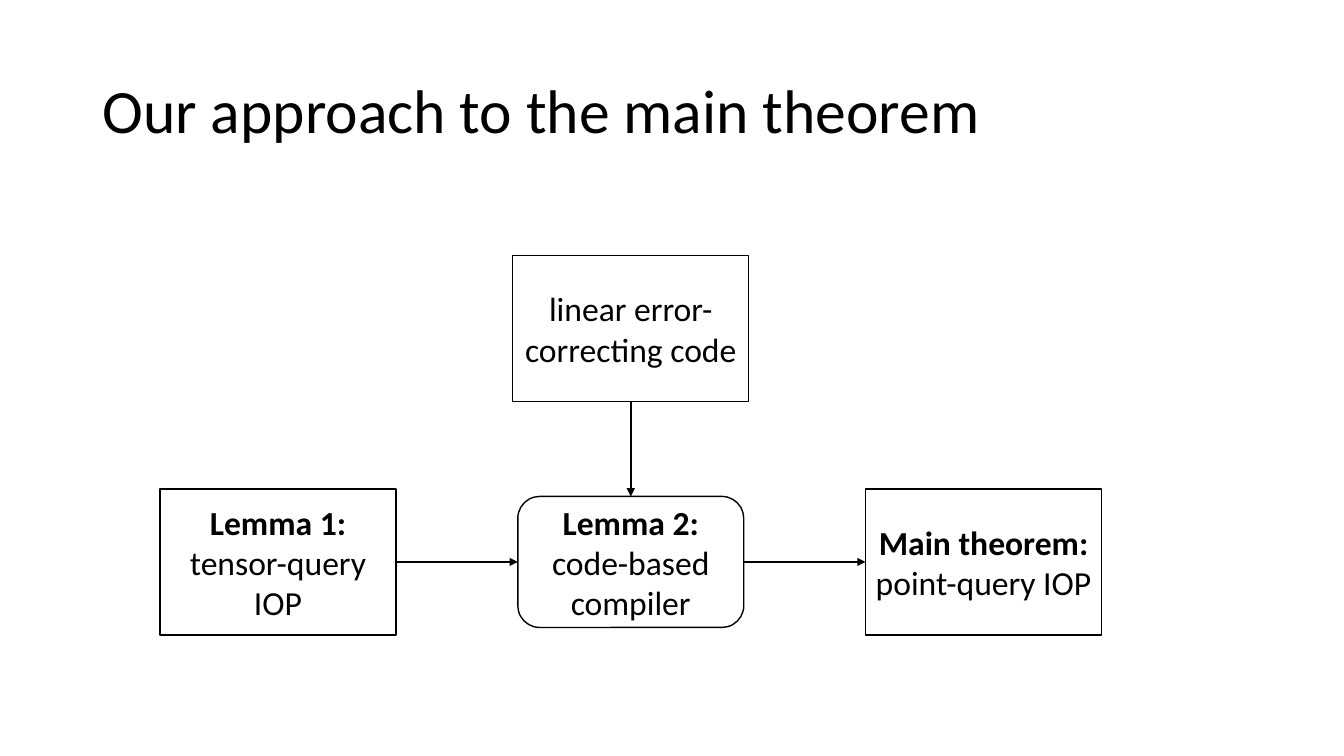
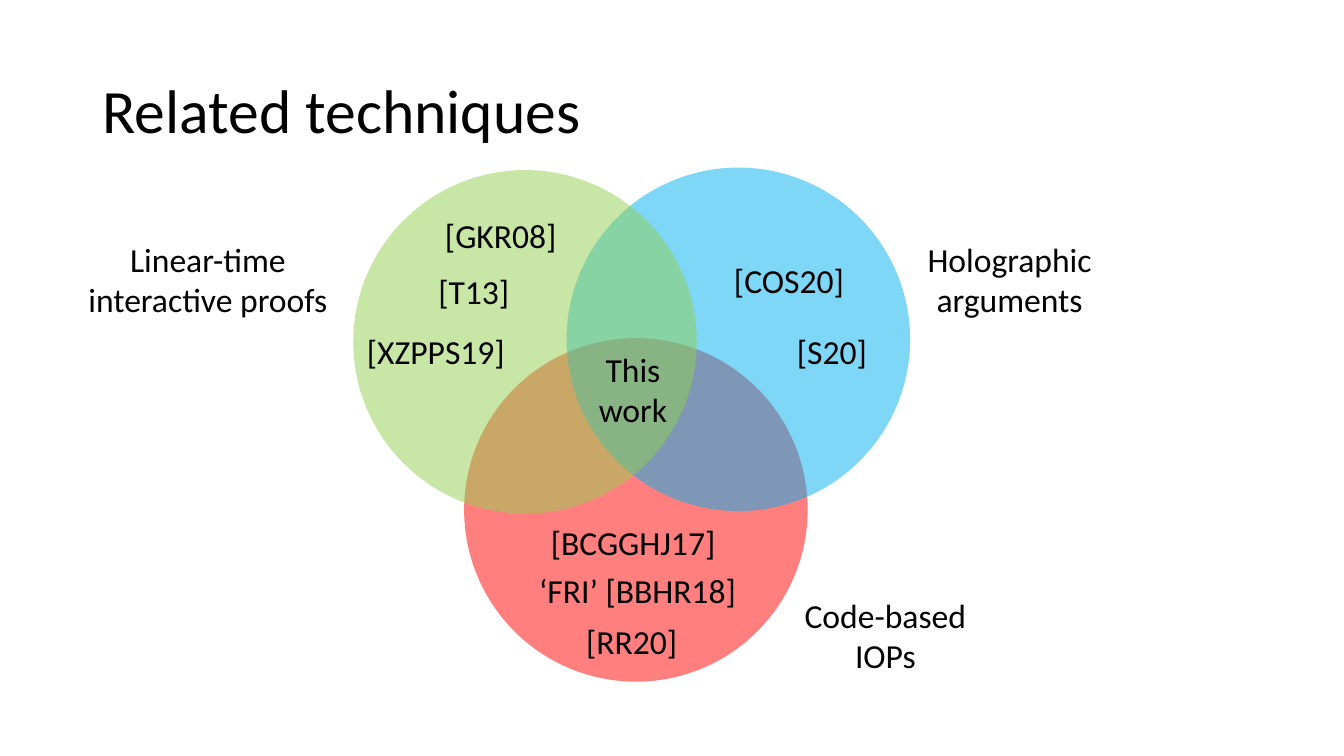
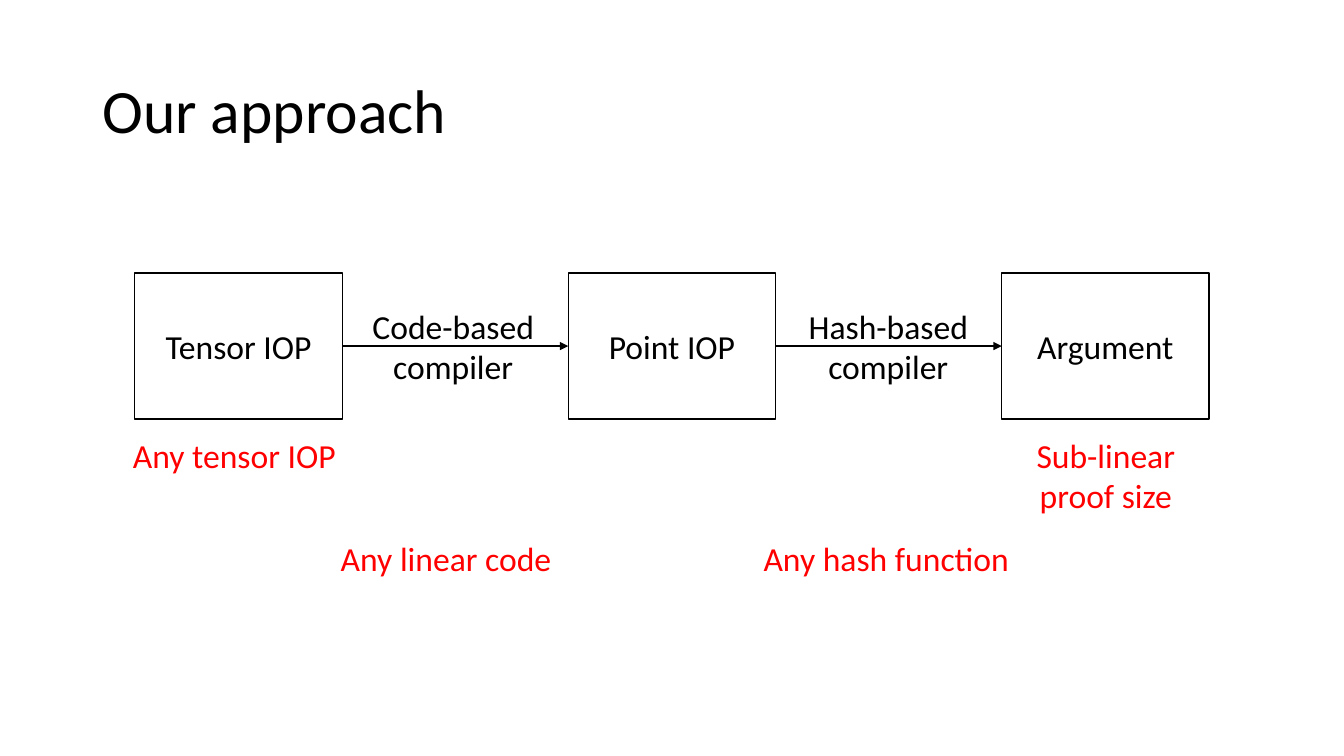
from lxml.etree import SubElement
from pptx import Presentation
from pptx.dml.color import RGBColor
from pptx.enum.shapes import MSO_CONNECTOR as Connector, MSO_SHAPE as Shape
from pptx.enum.text import MSO_ANCHOR as Anchor, MSO_AUTO_SIZE as AutoSize, PP_ALIGN as Align
from pptx.oxml.ns import qn
from pptx.util import Inches, Pt

COLUMNS, ROWS = 160, 90
CELLS_PER_INCH = 12
COLORS = {
    "ink": "000000",
    "paper": "FFFFFF",
    "red": "FF0000",
    "blue": "00B0F0",
    "green": "92D050",
}
TOP, LEFT, BOTTOM, RIGHT = range(4)


def cells(*counts):
    return [Inches(count / CELLS_PER_INCH) for count in counts]


def color(name):
    return RGBColor.from_string(COLORS[name])


class Deck:
    font_name = "Calibri"
    title_size = 44
    text_size = 24

    def __init__(self):
        self.deck = Presentation()
        self.deck.slide_width, self.deck.slide_height = cells(COLUMNS, ROWS)
        self.slide = None

    def set_lines(self, frame, lines, ink="ink", align=Align.CENTER, size=text_size,
                  bold_head=False):
        frame.text = "\n".join(lines)
        for row, paragraph in enumerate(frame.paragraphs):
            paragraph.alignment = align
            for run in paragraph.runs:
                run.font.name = self.font_name
                run.font.size = Pt(size)
                run.font.bold = bold_head and row == 0
                run.font.color.rgb = color(ink)

    def new_slide(self, heading):
        self.slide = self.deck.slides.add_slide(self.deck.slide_layouts[5])
        title = self.slide.shapes.title
        title.left, title.top, title.width, title.height = cells(11, 4.8, 138, 17.4)
        frame = title.text_frame
        self.set_lines(frame, [heading], align=Align.LEFT, size=self.title_size)
        frame.auto_size = AutoSize.NONE
        frame.vertical_anchor = Anchor.MIDDLE
        frame.paragraphs[0].line_spacing = 0.9

    def centred_shape(self, kind, center_x, center_y, width, height, fill):
        shape = self.slide.shapes.add_shape(
            kind, *cells(center_x - width / 2, center_y - height / 2, width, height))
        shape.shadow.inherit = False
        shape.fill.solid()
        shape.fill.fore_color.rgb = color(fill)
        return shape

    def box(self, lines, center_x, center_y, width, height=17.4, kind=Shape.RECTANGLE):
        box = self.centred_shape(kind, center_x, center_y, width, height, "paper")
        box.line.color.rgb = color("ink")
        box.line.width = Pt(1)
        box.text_frame.word_wrap = True
        box.text_frame.vertical_anchor = Anchor.MIDDLE
        self.set_lines(box.text_frame, lines, bold_head=len(lines) > 1)
        return box

    def circle(self, fill, center_x, center_y, diameter=40.9):
        circle = self.centred_shape(Shape.OVAL, center_x, center_y, diameter, diameter, fill)
        circle.line.fill.background()
        tint = circle._element.spPr.find(qn("a:solidFill"))[0]
        SubElement(tint, qn("a:alpha"), val="50000")

    def label(self, lines, left, top, width, ink="ink", align=Align.CENTER, wrap=True, rows=2):
        label = self.slide.shapes.add_textbox(*cells(left, top, width, 1 + 5 * rows))
        label.text_frame.word_wrap = wrap
        label.text_frame.auto_size = AutoSize.SHAPE_TO_FIT_TEXT
        self.set_lines(label.text_frame, lines, ink, align)

    def arrow(self, source, target, exit_side=RIGHT, entry_side=LEFT):
        arrow = self.slide.shapes.add_connector(Connector.STRAIGHT, 0, 0, 0, 0)
        arrow.begin_connect(source, exit_side)
        arrow.end_connect(target, entry_side)
        arrow.line.color.rgb = color("ink")
        arrow.line.width = Pt(1)
        properties = arrow._element.spPr
        SubElement(properties.find(qn("a:ln")), qn("a:tailEnd"), type="triangle")
        SubElement(properties, qn("a:effectLst"))


def theorem_slide(deck):
    deck.new_slide("Our approach to the main theorem")
    first_x, step, chain_y, width = 33.1, 42, 66.9, 28.1
    middle_x = first_x + step
    theorem = deck.box(["Main theorem:", "point-query IOP"], middle_x + step, chain_y, width)
    compiler = deck.box(["Lemma 2:", "code-based compiler"], middle_x, chain_y,
                        26.9, 15.6, Shape.ROUNDED_RECTANGLE)
    tensor = deck.box(["Lemma 1:", "tensor-query IOP"], first_x, chain_y, width)
    code = deck.box(["linear error-correcting code"], middle_x, 39.1, width)
    deck.arrow(tensor, compiler)
    deck.arrow(compiler, theorem)
    deck.arrow(code, compiler, BOTTOM, TOP)


def techniques_slide(deck):
    deck.new_slide("Related techniques")
    for fill, center_x, center_y in (
            ("red", 75.7, 60.7), ("blue", 87.9, 40.4), ("green", 62.5, 40.7)):
        deck.circle(fill, center_x, center_y)
    for lines, left, top, width in (
            (["Linear-time", "interactive proofs"], 7.7, 27.8, 34.1),
            (["Holographic", "arguments"], 105.7, 27.8, 29),
            (["Code-based", "IOPs"], 92, 70.2, 26.8)):
        deck.label(lines, left, top, width)
    deck.label(["This", "work"], 70, 40.9, 10.7, wrap=False)
    for citation, left, top, width in (
            ("[GKR08]", 51.8, 25, 15.8),
            ("[T13]", 51, 31.7, 10.9),
            ("[XZPPS19]", 42.5, 38.8, 19),
            ("[COS20]", 86.2, 30.4, 15.6),
            ("[S20]", 93.7, 38.8, 10.8),
            ("[BCGGHJ17]", 64.4, 61.6, 22.2),
            ("‘FRI’ [BBHR18]", 63, 67.2, 26.2),
            ("[RR20]", 68.6, 73.3, 13.3)):
        deck.label([citation], left, top, width, align=Align.LEFT, wrap=False, rows=1)


def approach_slide(deck):
    deck.new_slide("Our approach")
    for compiler, left in (("Hash-based compiler", 88.4), ("Code-based compiler", 36.6)):
        deck.label([compiler], left, 35.8, 34.7)
    step = 51.6
    stages = [deck.box([stage], COLUMNS / 2 + (column - 1) * step, 41.2, 24.7)
              for column, stage in enumerate(("Tensor IOP", "Point IOP", "Argument"))]
    for source, target in zip(stages, stages[1:]):
        deck.arrow(source, target)
    for remark, left, top, width, rows in (
            ("Any tensor IOP", 13.4, 51.2, 29, 1),
            ("Any linear code", 38.6, 63.5, 29, 1),
            ("Any hash function", 89.6, 63.5, 31.8, 1),
            ("Sub-linear proof size", 118.1, 51.2, 27.1, 2)):
        deck.label([remark], left, top, width, ink="red", rows=rows)


def main():
    deck = Deck()
    theorem_slide(deck)
    techniques_slide(deck)
    approach_slide(deck)
    deck.deck.save("out.pptx")


if __name__ == "__main__":
    main()
